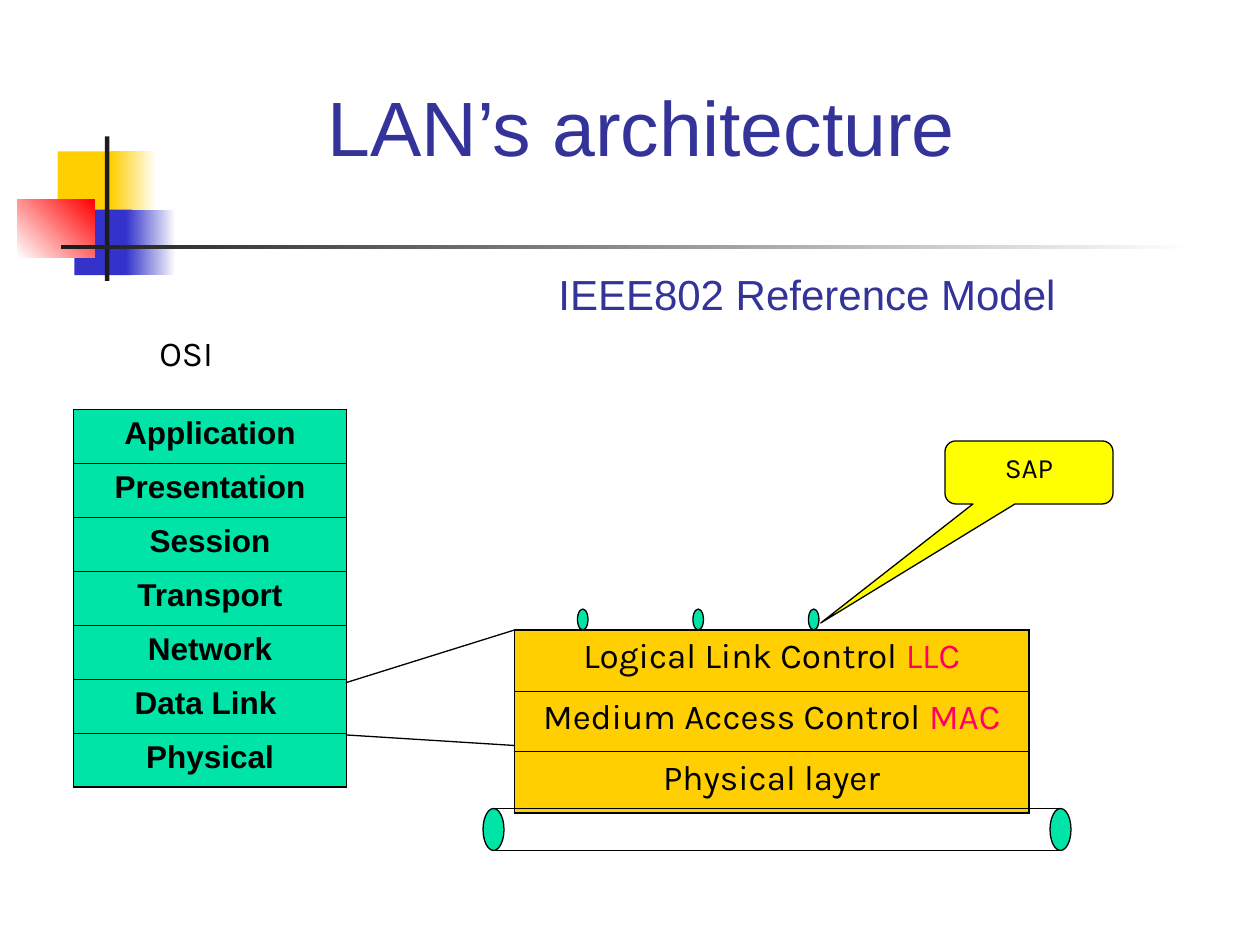
from dataclasses import dataclass

from lxml.etree import SubElement
from pptx import Presentation
from pptx.dml.color import RGBColor
from pptx.enum.shapes import MSO_CONNECTOR, MSO_SHAPE as Shape
from pptx.enum.text import MSO_ANCHOR as Anchor, PP_ALIGN as Align
from pptx.oxml.ns import qn
from pptx.util import Pt


@dataclass(frozen=True)
class Theme:
    gold: str = "FFCF01"
    blue: str = "3333CC"
    red: str = "FF0000"
    charcoal: str = "1C1C1C"
    white: str = "FFFFFF"
    black: str = "000000"
    heading: str = "333399"
    green: str = "00E4A8"
    yellow: str = "FFFF00"
    accent: str = "FF0066"
    sans: str = "Arial"
    body: str = "Karla"
    title_size: int = 44
    subtitle_size: int = 24
    layer_size: int = 20
    osi_size: int = 18
    callout_size: int = 16
    line: float = 0.75
    outer_border: float = 1.08
    inner_border: float = 0.45


class Deck:
    """Holds the theme and the current slide."""

    def __init__(self, theme):
        self.theme = theme
        self.prs = Presentation()
        self.prs.slide_width, self.prs.slide_height = Pt(720), Pt(540)
        self.s = self.prs.slides.add_slide(self.prs.slide_layouts[6])

    def add_runs(self, tf, runs, size, font, bold=False, align=Align.LEFT):
        """Fill the first paragraph with (text, colour) runs."""
        tf.word_wrap = True
        p = tf.paragraphs[0]
        p.alignment = align
        for text, color in runs:
            r = p.add_run()
            r.text = text
            r.font.size, r.font.name, r.font.bold = Pt(size), font, bold
            r.font.color.rgb = RGBColor.from_string(color)

    def text(self, box, text, size, font, color, anchor=Anchor.TOP):
        tf = self.s.shapes.add_textbox(*map(Pt, box)).text_frame
        tf.vertical_anchor = anchor
        self.add_runs(tf, [(text, color)], size, font)

    def shape(self, kind, box, fill, outlined=True):
        sp = self.s.shapes.add_shape(kind, *map(Pt, box))
        sp.shadow.inherit = False
        sp.fill.solid()
        sp.fill.fore_color.rgb = RGBColor.from_string(fill)
        if outlined:
            sp.line.color.rgb = RGBColor.from_string(self.theme.black)
            sp.line.width = Pt(self.theme.line)
        else:
            sp.line.fill.background()
        return sp

    def block(self, box, fill):
        return self.shape(Shape.RECTANGLE, box, fill, outlined=False)

    def fade(self, box, start, end, angle=0):
        sp = self.block(box, start)
        sp.fill.gradient()
        sp.fill.gradient_angle = angle
        for stop, color in zip(sp.fill.gradient_stops, (start, end)):
            stop.color.rgb = RGBColor.from_string(color)

    def ellipse(self, box):
        self.shape(Shape.OVAL, box, self.theme.green)

    def line(self, x1, y1, x2, y2):
        c = self.s.shapes.add_connector(
            MSO_CONNECTOR.STRAIGHT, *map(Pt, (x1, y1, x2, y2)))
        c.line.color.rgb = RGBColor.from_string(self.theme.black)
        c.line.width = Pt(self.theme.line)
        SubElement(c._element.spPr, qn("a:effectLst"))

    def callout(self, box, text, adjustments):
        sp = self.shape(Shape.ROUNDED_RECTANGULAR_CALLOUT, box,
                        self.theme.yellow)
        for i, value in enumerate(adjustments):
            sp.adjustments[i] = value
        sp.text_frame.vertical_anchor = Anchor.TOP
        self.add_runs(sp.text_frame, [(text, self.theme.black)],
                      self.theme.callout_size, self.theme.body,
                      align=Align.CENTER)

    def border(self, cell, side, width):
        ln = SubElement(cell._tc.get_or_add_tcPr(), qn(f"a:ln{side}"),
                        w=str(int(Pt(width))))
        fill = SubElement(ln, qn("a:solidFill"))
        SubElement(fill, qn("a:srgbClr"), val=self.theme.black)

    def stack(self, box, rows, fill, size, font, bold=False):
        """One-column table of layers, each a list of runs."""
        n = len(rows)
        table = self.s.shapes.add_table(n, 1, *map(Pt, box)).table
        table.first_row = table.horz_banding = False
        outer, inner = self.theme.outer_border, self.theme.inner_border
        for i, runs in enumerate(rows):
            table.rows[i].height = Pt(box[3] / n)
            cell = table.cell(i, 0)
            self.border(cell, "L", outer)
            self.border(cell, "R", outer)
            self.border(cell, "T", outer if i == 0 else inner)
            self.border(cell, "B", outer if i == n - 1 else inner)
            cell.fill.solid()
            cell.fill.fore_color.rgb = RGBColor.from_string(fill)
            self.add_runs(cell.text_frame, runs, size, font, bold,
                          Align.CENTER)


def main():
    t = Theme()
    d = Deck(t)

    # Corner ornament and title rule
    d.block((33, 86.5, 34.5, 37.5), t.gold)
    d.fade((63.5, 86.5, 26, 37.5), t.gold, t.white)
    d.block((42.5, 119.75, 33, 37.5), t.blue)
    d.fade((72, 119.75, 28.5, 37.5), t.blue, t.white)
    d.fade((10, 113.75, 44, 33.5), t.white, t.red, angle=45)
    d.block((60, 78, 2.5, 82.5), t.charcoal)
    d.fade((34.75, 140, 648, 2.5), t.charcoal, t.white)

    d.text((312, 150, 300, 42), "IEEE802 Reference Model",
           t.subtitle_size, t.sans, t.heading)
    d.text((180, 36, 402, 66), "LAN’s architecture",
           t.title_size, t.sans, t.heading, Anchor.BOTTOM)

    osi_layers = ["Application", "Presentation", "Session", "Transport",
                  "Network", "Data Link ", "Physical"]
    d.stack((42, 234, 156, 216), [[(name, t.black)] for name in osi_layers],
            t.green, t.osi_size, t.sans, bold=True)
    d.stack((294, 360, 294, 104.5), [
        [("Logical Link Control ", t.black), ("LLC", t.accent)],
        [("Medium Access Control ", t.black), ("MAC", t.accent)],
        [("Physical layer", t.black)],
    ], t.gold, t.layer_size, t.body)

    # Transmission medium
    left, right, top, height, cap = 282, 606, 462, 24, 12
    d.ellipse((left - cap / 2, top, cap, height))
    for y in (top, top + height):
        d.line(left, y, right, y)
    d.ellipse((right - cap / 2, top, cap, height))

    # Service access points
    for i in range(3):
        d.ellipse((330 + 66 * i, 348, 6, 12))
    d.callout((540, 252, 96, 36), "SAP", (-1.24, 2.39, 0.17))

    # Data link layer expanded into its sublayers
    d.line(198, 390, 294, 360)
    d.line(198, 420, 294, 426)
    d.text((84, 186, 84, 31.5), "OSI", t.layer_size, t.body, t.black)

    d.prs.save("out.pptx")


if __name__ == "__main__":
    main()
